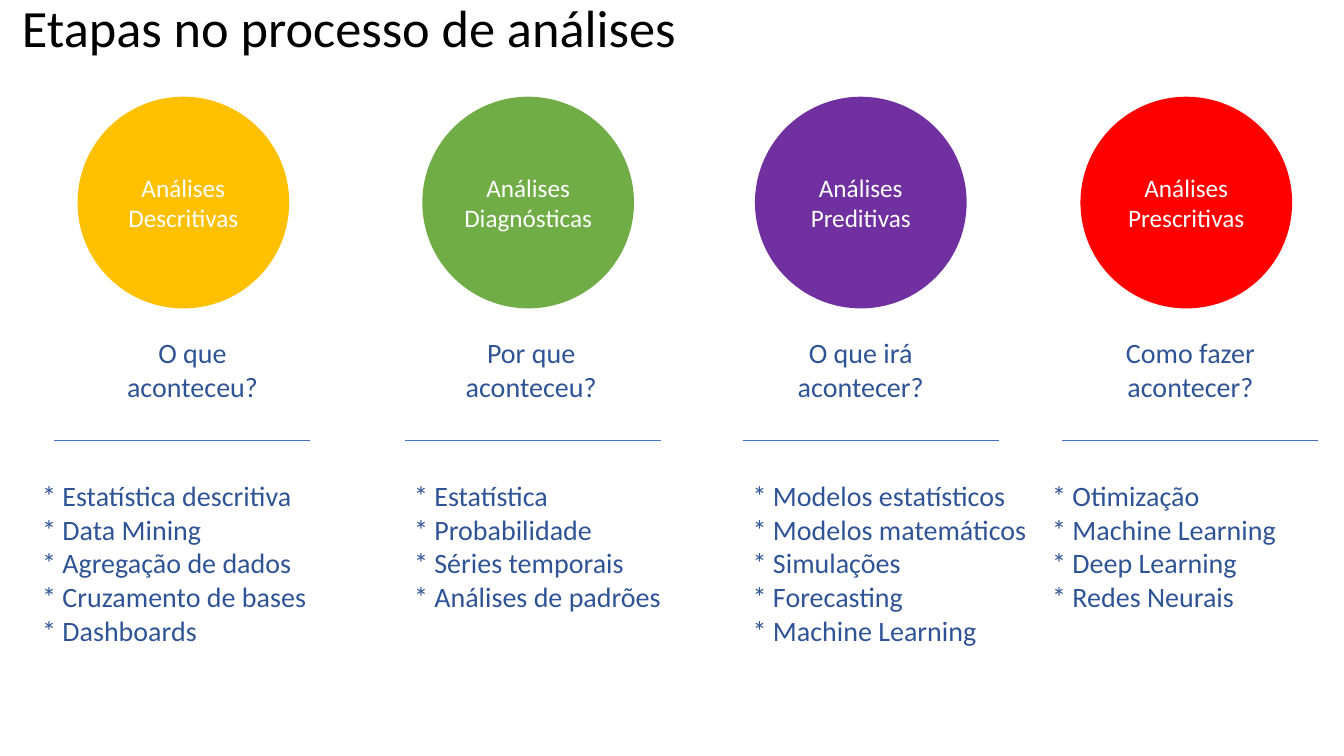
from lxml import etree
from pptx import Presentation
from pptx.dml.color import RGBColor
from pptx.enum import shapes, text
from pptx.oxml import ns
from pptx.util import Pt

FONT = "Calibri"
WHITE, BLACK, NAVY, BLUE = "FFFFFF", "000000", "2F5496", "4472C4"
CIRCLE_SIZE, LINE_WIDTH, LINE_Y = 151.2, 182.9, 314.6

STAGES = [
    dict(name="Análises Descritivas", color="FFC000",
         question=["O que", "aconteceu?"],
         methods=["Estatística descritiva", "Data Mining", "Agregação de dados",
                  "Cruzamento de bases", "Dashboards"],
         circle_x=55.4, question_x=53.3, line_x=38.9, list_x=23, list_w=226),
    dict(name="Análises Diagnósticas", color="70AD47",
         question=["Por que", "aconteceu?"],
         methods=["Estatística", "Probabilidade", "Séries temporais",
                  "Análises de padrões"],
         circle_x=301.7, question_x=295.2, line_x=289.4, list_x=288.7, list_w=213.8),
    dict(name="Análises Preditivas", color="7030A0",
         question=["O que irá acontecer?"],
         methods=["Modelos estatísticos", "Modelos matemáticos", "Simulações",
                  "Forecasting", "Machine Learning"],
         circle_x=539.3, question_x=530.6, line_x=530.6, list_x=530.6, list_w=213.8),
    dict(name="Análises Prescritivas", color="FF0000",
         question=["Como fazer acontecer?"],
         methods=["Otimização", "Machine Learning", "Deep Learning", "Redes Neurais"],
         circle_x=771.8, question_x=766.1, line_x=758.9, list_x=744.5, list_w=213.8),
]


def rgb(color):
    return RGBColor.from_string(color)


def write(sp, lines, size=20, color=NAVY, align=text.PP_ALIGN.LEFT,
          anchor=text.MSO_ANCHOR.TOP, spacing=None):
    tf = sp.text_frame
    tf.word_wrap = True
    tf.vertical_anchor = anchor
    for i, line in enumerate(lines):
        p = tf.add_paragraph() if i else tf.paragraphs[0]
        p.alignment = align
        p.line_spacing = spacing
        r = p.add_run()
        r.text = line
        r.font.name = FONT
        r.font.size = Pt(size)
        r.font.color.rgb = rgb(color)


def add_text(s, x, y, w, h, lines, **fmt):
    sp = s.shapes.add_textbox(Pt(x), Pt(y), Pt(w), Pt(h))
    write(sp, lines, **fmt)


def add_circle(s, x, y, color, label):
    sp = s.shapes.add_shape(shapes.MSO_SHAPE.OVAL, Pt(x), Pt(y),
                            Pt(CIRCLE_SIZE), Pt(CIRCLE_SIZE))
    sp.shadow.inherit = False
    sp.fill.solid()
    sp.fill.fore_color.rgb = rgb(color)
    sp.line.fill.background()
    write(sp, [label], size=18, color=WHITE, align=text.PP_ALIGN.CENTER,
          anchor=text.MSO_ANCHOR.MIDDLE)


def add_divider(s, x):
    line = s.shapes.add_connector(shapes.MSO_CONNECTOR.STRAIGHT, Pt(x), Pt(LINE_Y),
                                  Pt(x + LINE_WIDTH), Pt(LINE_Y))
    line.line.color.rgb = rgb(BLUE)
    line.line.width = Pt(0.75)
    etree.SubElement(line._element.spPr, ns.qn("a:effectLst"))


def add_stage(s, stage):
    add_circle(s, stage["circle_x"], 69.1, stage["color"], stage["name"])
    add_text(s, stage["question_x"], 236.2, 168.5, 53.3, stage["question"],
             align=text.PP_ALIGN.CENTER)
    add_divider(s, stage["line_x"])
    add_text(s, stage["list_x"], 338.4, stage["list_w"], 173.5,
             [f"* {method}" for method in stage["methods"]])


def main():
    prs = Presentation()
    prs.slide_width, prs.slide_height = Pt(960), Pt(540)
    s = prs.slides.add_slide(prs.slide_layouts[6])
    add_text(s, 8.6, 4.3, 560.2, 41, ["Etapas no processo de análises"],
             size=37.4, color=BLACK, anchor=text.MSO_ANCHOR.MIDDLE, spacing=0.7)
    for stage in STAGES:
        add_stage(s, stage)
    prs.save("out.pptx")


if __name__ == "__main__":
    main()
